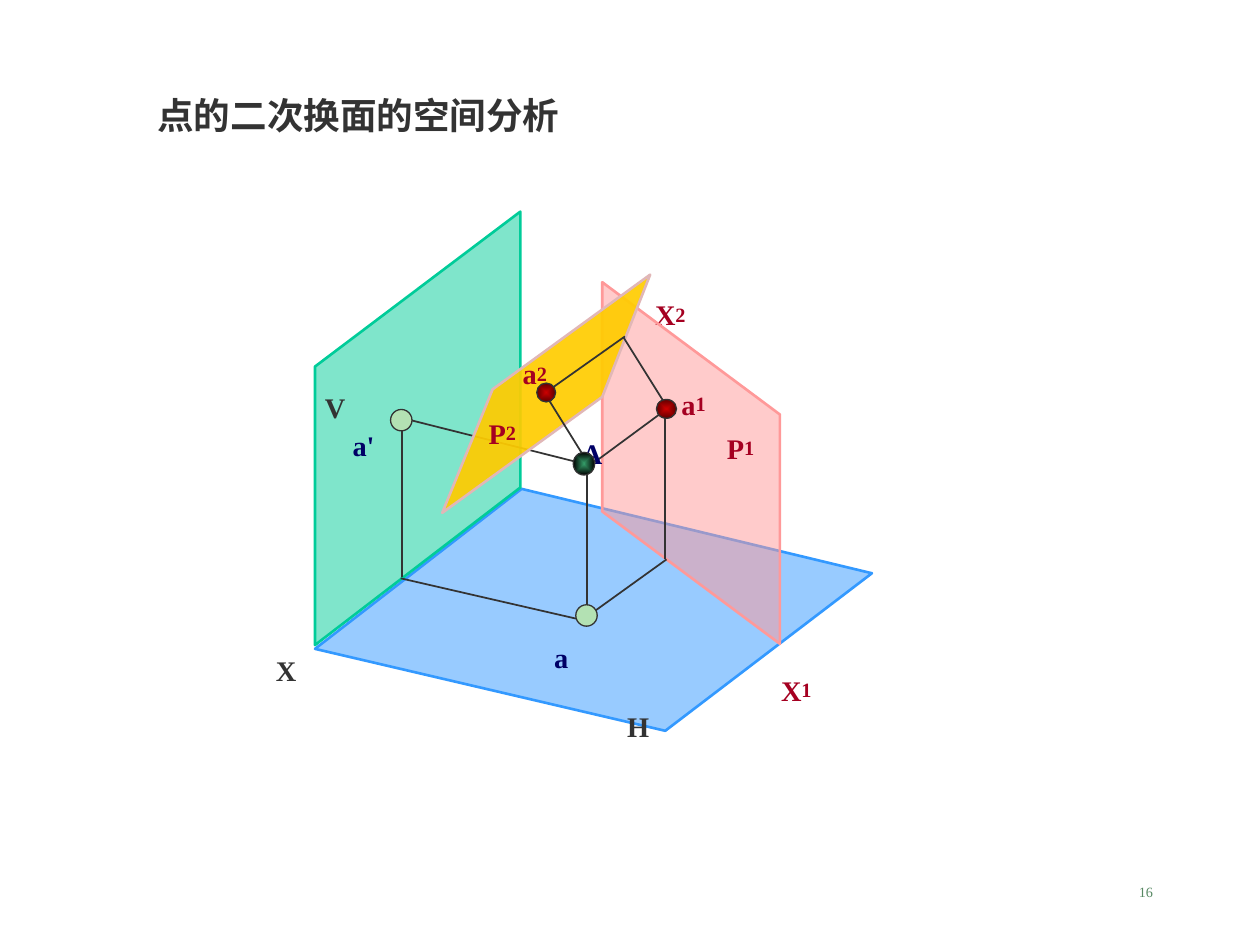
import pptx
import pptx.util
import pptx.dml.color
import pptx.enum.shapes
import pptx.enum.text
import pptx.oxml
import pptx.oxml.ns
from pptx.util import Inches

FONT = "Times New Roman"
COLORS = {
    "ink": "333333", "navy": "000066", "crimson": "A50021", "page": "578963",
    "blue": "3399FF", "green": "00CC99", "pink": "FF9999", "gold": "FFCC00",
    "mauve": "E1B7B7", "pale": "B3E1B3", "red": "CC0000", "maroon": "5E0000",
    "emerald": "339966", "black": "000000",
}


def rgb(name):
    """Look up a palette colour."""
    return pptx.dml.color.RGBColor.from_string(COLORS[name])


def drawing_element(xml):
    """Parse an element in the DrawingML namespace."""
    return pptx.oxml.parse_xml(xml.replace(">", " " + pptx.oxml.ns.nsdecls("a") + ">", 1))


def format_run(run, size, color, bold=True):
    """Style a run as lowered lettering."""
    run.font.name = FONT
    run.font.size = pptx.util.Pt(size)
    run.font.bold = bold
    run.font.color.rgb = rgb(color)
    run.font._element.set("baseline", "-25000")


def draw_title(slide, box):
    """Place the title in its placeholder."""
    title = slide.shapes.title
    title.left, title.top, title.width, title.height = map(Inches, box)
    frame = title.text_frame
    frame.text = "点的二次换面的空间分析"
    frame.vertical_anchor = pptx.enum.text.MSO_ANCHOR.TOP
    frame.auto_size = pptx.enum.text.MSO_AUTO_SIZE.SHAPE_TO_FIT_TEXT
    frame.paragraphs[0].alignment = pptx.enum.text.PP_ALIGN.LEFT
    format_run(frame.paragraphs[0].runs[0], 36, "ink")


def draw_page_number(slide, box):
    """Place the page number at the right of its box."""
    frame = slide.shapes.add_textbox(*map(Inches, box)).text_frame
    frame.word_wrap = True
    frame.text = "16"
    frame.paragraphs[0].alignment = pptx.enum.text.PP_ALIGN.RIGHT
    format_run(frame.paragraphs[0].runs[0], 14, "page", bold=False)


def draw_plane(slide, origin, corners, fill, line, opacity):
    """Draw a translucent projection plane."""
    points = [(Inches(origin[0] + x), Inches(origin[1] + y)) for x, y in corners]
    builder = slide.shapes.build_freeform(*points[0])
    builder.add_line_segments(points[1:], close=True)
    plane = builder.convert_to_shape()
    plane.shadow.inherit = False
    plane.fill.solid()
    plane.fill.fore_color.rgb = rgb(fill)
    color = plane._element.spPr.find(".//" + pptx.oxml.ns.qn("a:srgbClr"))
    color.append(drawing_element(f'<a:alpha val="{opacity * 1000}"></a:alpha>'))
    plane.line.color.rgb = rgb(line)
    plane.line.width = pptx.util.Pt(1.5)


def draw_rays(slide, origin, rays):
    """Draw the projection lines given by their end points."""
    left, top = origin
    for x1, y1, x2, y2 in rays:
        ray = slide.shapes.add_connector(
            pptx.enum.shapes.MSO_CONNECTOR.STRAIGHT,
            Inches(left + x1), Inches(top + y1), Inches(left + x2), Inches(top + y2))
        ray.line.color.rgb = rgb("ink")
        ray.line.width = pptx.util.Pt(1)
        ray._element.spPr.append(drawing_element("<a:effectLst></a:effectLst>"))


def draw_labels(slide, origin, labels):
    """Write letters, each with an optional smaller index."""
    for letter, index, x, y, width, color in labels:
        label = slide.shapes.add_textbox(
            Inches(origin[0] + x), Inches(origin[1] + y), Inches(width), Inches(0.57))
        frame = label.text_frame
        frame.word_wrap = False
        frame.auto_size = pptx.enum.text.MSO_AUTO_SIZE.SHAPE_TO_FIT_TEXT
        for text, size in ((letter, 28), (index, 20)):
            if text:
                run = frame.paragraphs[0].add_run()
                run.text = text
                format_run(run, size, color)


def draw_point(slide, origin, x, y, width, height, colors):
    """Draw a point, shaded from its centre when two colours are given."""
    point = slide.shapes.add_shape(
        pptx.enum.shapes.MSO_SHAPE.OVAL,
        Inches(origin[0] + x), Inches(origin[1] + y), Inches(width), Inches(height))
    point.shadow.inherit = False
    point.line.color.rgb = rgb("ink")
    point.line.width = pptx.util.Pt(0.75)
    if len(colors) == 1:
        point.fill.solid()
        point.fill.fore_color.rgb = rgb(colors[0])
        return
    point.fill.gradient()
    for stop, color in zip(point.fill.gradient_stops, colors):
        stop.color.rgb = rgb(color)
    linear = point._element.spPr.find(".//" + pptx.oxml.ns.qn("a:lin"))
    linear.getparent().replace(linear, drawing_element(
        '<a:path path="shape"><a:fillToRect l="50000" t="50000" r="50000" b="50000"/></a:path>'))


def draw_diagram(slide, origin):
    """Draw the planes, projection lines, labels and points from back to front."""
    draw_plane(slide, origin, [(0.5, 3.65), (2.14, 2.38), (4.92, 3.05), (3.28, 4.3)],
               "blue", "blue", 50)
    draw_plane(slide, origin, [(0.5, 3.62), (0.5, 1.41), (2.13, 0.18), (2.13, 2.37)],
               "green", "green", 50)
    draw_rays(slide, origin, [
        (2.66, 3.4, 2.66, 2.19), (1.19, 3.08, 1.19, 1.81),
        (2.67, 2.19, 1.2, 1.82), (2.66, 3.43, 1.18, 3.09)])
    draw_labels(slide, origin, [
        ("V", "", 0.48, 1.29, 0.48, "ink"),
        ("H", "", 2.88, 3.82, 0.5, "ink"),
        ("X", "", 0.09, 3.37, 0.48, "ink"),
        ("X", "1", 4.1, 3.53, 0.62, "crimson"),
        ("X", "2", 3.1, 0.55, 0.62, "crimson"),
        ("a", "", 2.3, 3.27, 0.4, "navy"),
        ("a'", "", 0.7, 1.59, 0.5, "navy")])
    draw_plane(slide, origin, [(2.78, 0.74), (2.78, 2.56), (4.19, 3.61), (4.19, 1.79)],
               "pink", "pink", 50)
    draw_rays(slide, origin, [
        (2.65, 3.4, 3.29, 2.94), (2.69, 2.19, 3.3, 1.74), (3.28, 2.94, 3.28, 1.72)])
    draw_labels(slide, origin, [
        ("P", "1", 3.67, 1.61, 0.58, "crimson"),
        ("a", "1", 3.31, 1.26, 0.53, "crimson")])
    draw_plane(slide, origin, [(1.91, 1.59), (1.51, 2.57), (2.78, 1.65), (3.16, 0.68)],
               "gold", "mauve", 92)
    draw_rays(slide, origin, [
        (2.95, 1.18, 3.3, 1.74), (2.31, 1.63, 2.96, 1.17), (2.31, 1.6, 2.67, 2.18)])
    draw_point(slide, origin, 2.26, 1.54, 0.15, 0.15, ("red", "maroon"))
    draw_labels(slide, origin, [
        ("P", "2", 1.78, 1.49, 0.58, "crimson"),
        ("a", "2", 2.05, 1.02, 0.53, "crimson"),
        ("A", "", 2.52, 1.65, 0.48, "navy")])
    draw_point(slide, origin, 2.55, 2.09, 0.17, 0.18, ("emerald", "black"))
    draw_point(slide, origin, 1.1, 1.75, 0.17, 0.17, ("pale",))
    draw_point(slide, origin, 3.21, 1.67, 0.16, 0.15, ("red", "maroon"))
    draw_point(slide, origin, 2.57, 3.3, 0.17, 0.17, ("pale",))


def main():
    """Build and save the slide."""
    deck = pptx.Presentation()
    deck.slide_width, deck.slide_height = Inches(10), Inches(7.5)
    slide = deck.slides.add_slide(deck.slide_layouts[5])
    draw_page_number(slide, (7.17, 6.83, 2.08, 0.5))
    draw_diagram(slide, (2, 1.5))
    draw_title(slide, (1.15, 0.35, 6.03, 0.7))
    deck.save("out.pptx")


if __name__ == "__main__":
    main()
